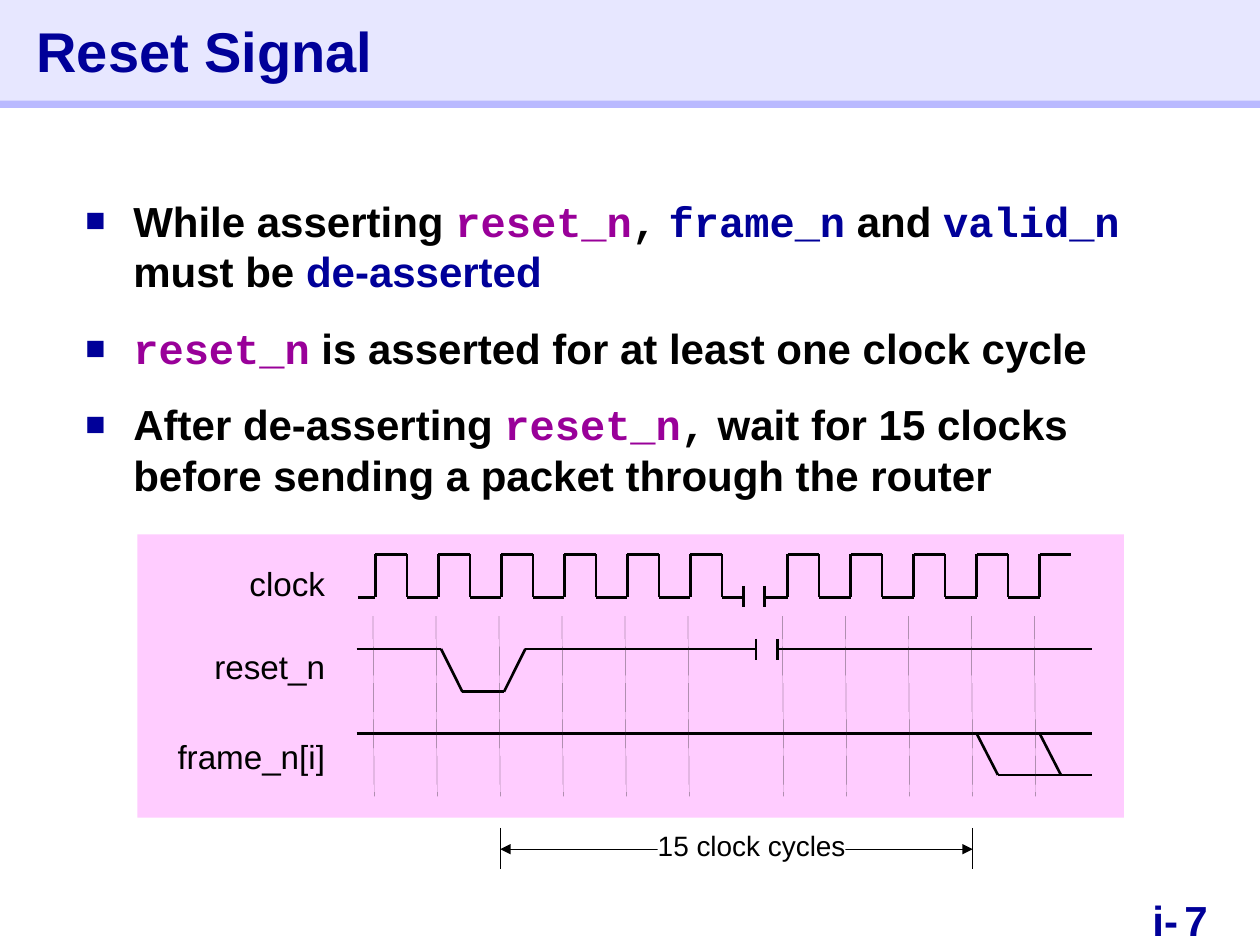
from lxml import etree
from pptx import Presentation
from pptx.dml.color import RGBColor
from pptx.enum.dml import MSO_LINE
from pptx.enum.shapes import MSO_CONNECTOR, MSO_SHAPE
from pptx.enum.text import MSO_ANCHOR, PP_ALIGN
from pptx.oxml.ns import qn
from pptx.util import Inches, Pt

STRAIGHT = MSO_CONNECTOR.STRAIGHT
RECT = MSO_SHAPE.RECTANGLE
DASH = MSO_LINE.SQUARE_DOT
MIDDLE = MSO_ANCHOR.MIDDLE
LEFT, RIGHT = PP_ALIGN.LEFT, PP_ALIGN.RIGHT
NAVY, PURPLE, BLACK = "000099", "990099", "000000"
SANS, MONO = "Arial", "Courier New"

# Grid of 40 columns by 30 rows; half a clock period is one column
CELL = Inches(0.25)
COLS, ROWS = 40, 30
rgb = RGBColor.from_string

deck = Presentation()
deck.slide_width, deck.slide_height = COLS * CELL, ROWS * CELL
slide = deck.slides.add_slide(deck.slide_layouts[6])
shapes = slide.shapes


def trace(points, color=BLACK, width=1.5):
    """Join grid points with straight lines and return the last one."""
    for start, end in zip(points, points[1:]):
        ends = [round(v * CELL) for v in (*start, *end)]
        line = shapes.add_connector(STRAIGHT, *ends)
        line.line.color.rgb = rgb(color)
        line.line.width = Pt(width)
        etree.SubElement(line._element.spPr, qn("a:effectLst"))
    return line


def block(box, text="", size=24, color=BLACK, fill=None, align=LEFT, bold=False):
    """Add a text box, or a rectangle if a fill is given."""
    place = [round(v * CELL) for v in box]
    if fill:
        shape = shapes.add_shape(RECT, *place)
        shape.shadow.inherit = False
        shape.fill.solid()
        shape.fill.fore_color.rgb = rgb(fill)
        shape.line.fill.background()
    else:
        shape = shapes.add_textbox(*place)
    if text:
        frame = shape.text_frame
        frame.word_wrap = False
        frame.margin_left = frame.margin_right = 0
        frame.margin_top = frame.margin_bottom = 0
        para = frame.paragraphs[0]
        para.text, para.alignment = text, align
        para.font.name, para.font.size = SANS, Pt(size)
        para.font.bold = bold
        para.font.color.rgb = rgb(color)
    return shape


# Page number
block((37.6, 28.4, 2.4, 1.6), "7", color=NAVY, bold=True)
block((34.2, 28.4, 3.2, 1.6), "i-", color=NAVY, align=RIGHT, bold=True)

# Title band
trace([(0, 3.28), (COLS, 3.28)], "B9B9FF", 5)
title = block((0, 0, COLS, 3.2), "Reset Signal", 32, NAVY, "E7E7FF", bold=True)
title.text_frame.margin_left = Inches(0.29)
title.text_frame.vertical_anchor = MIDDLE

# Bullets
bullets = [
    [("While asserting ", SANS, BLACK), ("reset_n", MONO, PURPLE),
     (",", MONO, BLACK), (" ", SANS, BLACK), ("frame_n", MONO, NAVY),
     (" and ", SANS, BLACK), ("valid_n", MONO, NAVY),
     (" must be ", SANS, BLACK), ("de-asserted", SANS, NAVY)],
    [("reset_n", MONO, PURPLE),
     (" is asserted for at least one clock cycle", SANS, BLACK)],
    [("After de-asserting ", SANS, BLACK), ("reset_n", MONO, PURPLE),
     (",", MONO, BLACK),
     (" wait for 15 clocks before sending a packet through the router",
      SANS, BLACK)],
]
body = block((2.32, 6, 35.68, 18.52)).text_frame
body.word_wrap = True
for i, parts in enumerate(bullets):
    para = body.add_paragraph() if i else body.paragraphs[0]
    para.space_before = Pt(15)
    para.font.size, para.font.bold = Pt(24), True
    for text, face, color in parts:
        run = para.add_run()
        run.text = text
        run.font.name = face
        run.font.color.rgb = rgb(color)
    props = para._p.get_or_add_pPr()
    props.set("marL", str(Inches(0.38)))
    props.set("indent", str(-Inches(0.38)))
    tags = ("a:buClr", "a:buSzPct", "a:buFont", "a:buChar")
    marks = [etree.Element(qn(tag)) for tag in tags]
    etree.SubElement(marks[0], qn("a:srgbClr"), val=NAVY)
    marks[1].set("val", "80000")
    marks[2].set("typeface", SANS)
    marks[3].set("char", "■")
    spot = props.index(props.find(qn("a:defRPr")))
    props[spot:spot] = marks

# Diagram panel and signal names
block((4.36, 16.96, 31.32, 9), fill="FFCCFF")
for name, top in [("clock", 17.88), ("reset_n", 20.52), ("frame_n[i]", 23.36)]:
    block((4.92, top, 5.4, 1.28), name, 19, align=RIGHT)

# Clock: the level flips at every column, on both sides of the break
HIGH, LOW = 17.6, 18.96
for start, first, flips, end in [(11.36, 11.92, 12, 23.6), (24.28, 25, 9, 34)]:
    wave = [(start, LOW)]
    for k in range(flips):
        levels = (HIGH, LOW) if k % 2 else (LOW, HIGH)
        wave += [(first + k, y) for y in levels]
    trace(wave + [(end, wave[-1][1])])

# Reset and frame signals
BEGIN, STOP = 11.32, 34.68
HIGH, LOW = 20.6, 21.96
trace([(BEGIN, HIGH), (14, HIGH), (14.68, LOW), (16, LOW), (16.68, HIGH), (24, HIGH)])
trace([(24.68, HIGH), (STOP, HIGH)])
HIGH, LOW = 23.28, 24.6
trace([(BEGIN, HIGH), (STOP, HIGH)])
trace([(31, HIGH), (31.68, LOW), (STOP, LOW)])
trace([(33, HIGH), (33.68, LOW)])

# Break marks
for x, y in [(23.6, 18.6), (24.28, 18.6), (24, 20.28), (24.68, 20.28)]:
    trace([(x, y), (x, y + 0.68)])

# Dashed guides, one per clock period
for first, count in [(11.84, 6), (24.84, 5)]:
    for k in range(count):
        x = first + 2 * k
        guide = trace([(x, 19.56), (x + 0.04, 25.28)], "212121", 0.1)
        guide.line.dash_style = DASH

# Span of 15 cycles
FROM, TO = 15.88, 30.88
for x in (FROM, TO):
    trace([(x, 26.28), (x, 27.6)], width=0.75)
span = trace([(FROM, 26.96), (TO, 26.96)], width=0.75)
for tag in ("a:headEnd", "a:tailEnd"):
    etree.SubElement(span.line._get_or_add_ln(), qn(tag), type="triangle")
block((20.88, 26.28, 5.96, 1.08), "15 clock cycles", 16, fill="FFFFFF")

deck.save("out.pptx")
